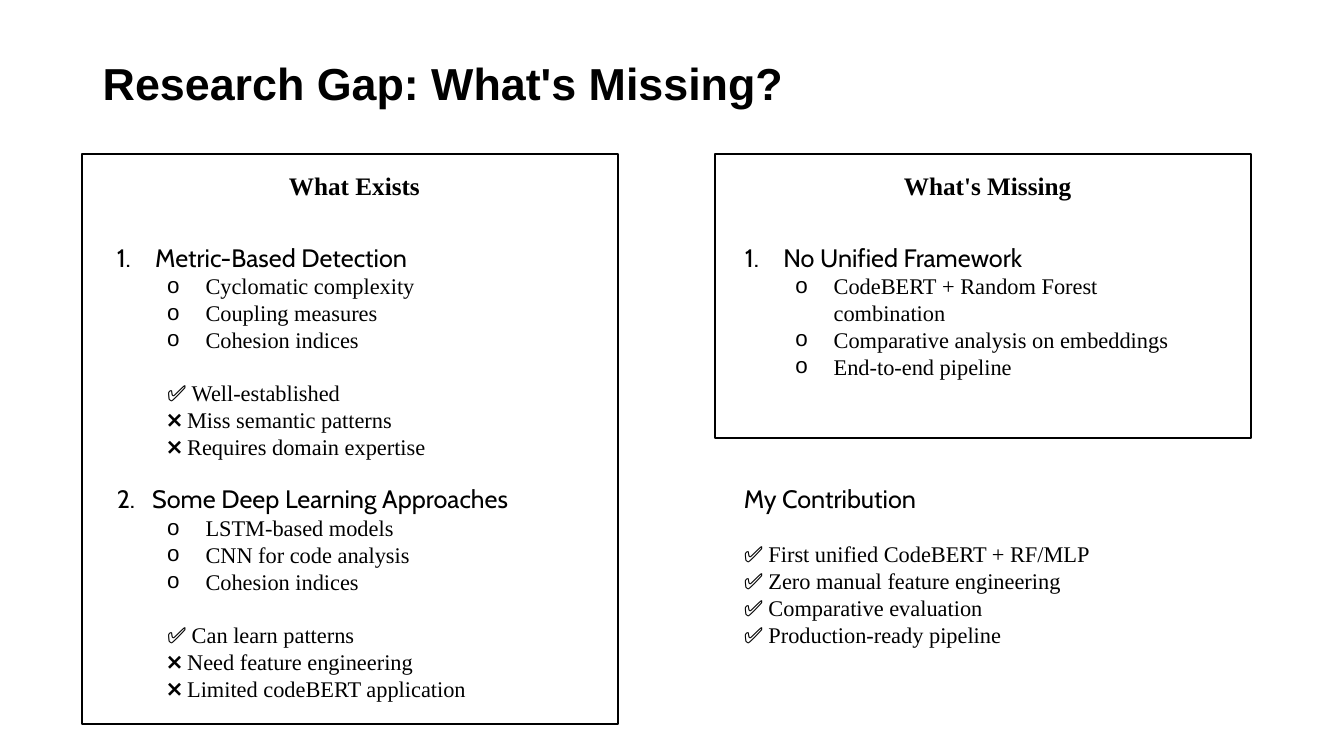
from lxml.etree import SubElement
from pptx import Presentation
from pptx.dml.color import RGBColor
from pptx.enum.shapes import MSO_SHAPE
from pptx.enum.text import MSO_ANCHOR, MSO_AUTO_SIZE, PP_ALIGN
from pptx.oxml.ns import qn
from pptx.util import Inches, Pt

BLACK, WHITE = "000000", "FFFFFF"
YES, NO = "✅", "❌"


def color(code):
    return RGBColor.from_string(code)


def indent(para, left, hang):
    props = para._p.get_or_add_pPr()
    props.set("marL", str(Inches(left)))
    props.set("indent", str(-Inches(hang)))
    return props


class Deck:
    head, body, title = "Cabin", "Times New Roman", "Arial"
    big, small = 18, 16

    def __init__(self):
        self.prs = Presentation()
        self.prs.slide_width = Inches(13.33)
        self.prs.slide_height = Inches(7.5)
        self.slide = self.prs.slides.add_slide(self.prs.slide_layouts[6])

    def panel(self, x, y, w, h):
        box = self.slide.shapes.add_shape(
            MSO_SHAPE.RECTANGLE, Inches(x), Inches(y), Inches(w), Inches(h))
        box.shadow.inherit = False
        box.fill.solid()
        box.fill.fore_color.rgb = color(WHITE)
        box.line.color.rgb = color(BLACK)
        box.line.width = Pt(1.5)

    def frame(self, x, y, w, h):
        box = self.slide.shapes.add_textbox(
            Inches(x), Inches(y), Inches(w), Inches(h))
        frame = box.text_frame
        frame.word_wrap = True
        frame.auto_size = MSO_AUTO_SIZE.SHAPE_TO_FIT_TEXT
        return frame

    def style(self, font, name, size, bold=False):
        font.name, font.size, font.bold = name, Pt(size), bold
        font.color.rgb = color(BLACK)

    def banner(self, text, x, y, w, h):
        frame = self.frame(x, y, w, h)
        frame.auto_size = MSO_AUTO_SIZE.NONE
        frame.vertical_anchor = MSO_ANCHOR.MIDDLE
        para = frame.paragraphs[0]
        para.text = text
        para.line_spacing = 0.9
        self.style(para.font, self.title, 32, True)

    def label(self, text, x, y, w, h):
        para = self.frame(x, y, w, h).paragraphs[0]
        para.text = text
        para.alignment = PP_ALIGN.CENTER
        self.style(para.font, self.body, self.big, True)

    def topic(self, frame, text, number=False):
        para = frame.paragraphs[0]
        para.text = text
        if number:
            props = indent(para, 0.38, 0.38)
            SubElement(props, qn("a:buFont"), typeface=self.head)
            SubElement(props, qn("a:buAutoNum"), type="arabicPeriod")
        self.style(para.font, self.head, self.big)

    def points(self, frame, items):
        for item in items:
            para = frame.add_paragraph()
            para.text = item
            para.level = 1
            props = indent(para, 0.88, 0.38)
            SubElement(props, qn("a:buFont"), typeface=self.title)
            SubElement(props, qn("a:buChar"), char="o")
            self.style(para.font, self.body, self.small)

    def checks(self, frame, items, left):
        """Add marked lines, set off from the lines above by one line."""
        for i, (mark, text) in enumerate(items):
            para = frame.add_paragraph()
            indent(para, left, 0)
            if i == 0:
                para.space_before = Pt(19)
            for part, name in ((mark + "\u00a0", self.head), (text, self.body)):
                run = para.add_run()
                run.text = part
                self.style(run.font, name, self.small)


def main():
    deck = Deck()
    deck.banner("Research Gap: What's Missing?", 0.92, 0.4, 11.5, 0.9)

    for x, high, name in ((0.81, 5.65, "What Exists"),
                          (7.09, 2.82, "What's Missing")):
        deck.panel(x, 1.53, 5.32, high)
        deck.label(name, x + 0.23, 1.64, 4.95, 0.4)

    known = (
        (2.35, "Metric-Based Detection", True,
         ("Cyclomatic complexity", "Coupling measures", "Cohesion indices"),
         ((YES, "Well-established"), (NO, "Miss semantic patterns"),
          (NO, "Requires domain expertise"))),
        (4.75, "2.\u00a0 \u00a0Some Deep Learning Approaches", False,
         ("LSTM-based models", "CNN for code analysis", "Cohesion indices"),
         ((YES, "Can learn patterns"), (NO, "Need feature engineering"),
          (NO, "Limited codeBERT application"))),
    )
    for y, name, number, items, marks in known:
        frame = deck.frame(1.06, y, 4.92, 2.59)
        deck.topic(frame, name, number)
        deck.points(frame, items)
        deck.checks(frame, marks, 0.5)

    gap = deck.frame(7.29, 2.35, 4.92, 1.51)
    deck.topic(gap, "No Unified Framework", True)
    deck.points(gap, ("CodeBERT\u00a0+ Random Forest combination\u2003",
                      "Comparative analysis on embeddings",
                      "End-to-end pipeline"))

    mine = deck.frame(7.28, 4.75, 4.92, 1.85)
    deck.topic(mine, "My Contribution")
    gains = ("First unified CodeBERT + RF/MLP", "Zero manual feature engineering",
             "Comparative evaluation", "Production-ready pipeline")
    deck.checks(mine, [(YES, gain) for gain in gains], 0)

    deck.prs.save("out.pptx")


if __name__ == "__main__":
    main()
